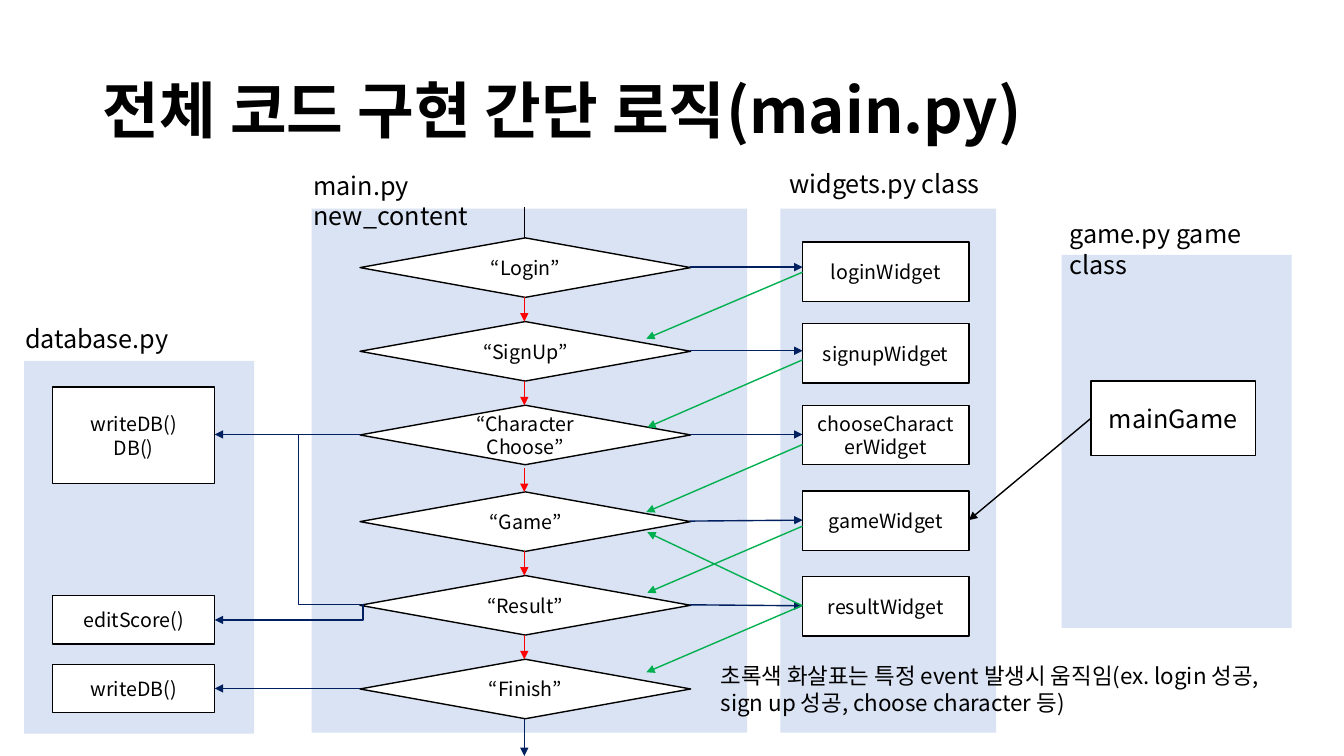
from lxml import etree
from pptx import Presentation
from pptx.dml.color import RGBColor
from pptx.enum import shapes, text
from pptx.oxml import ns
from pptx.util import Inches, Pt

FONT = "Noto Sans CJK KR"
BLACK, WHITE, PANEL = "000000", "FFFFFF", "DAE3F3"
NAVY, RED, GREEN = "002060", "FF0000", "00B050"

RECTANGLE = shapes.MSO_SHAPE.RECTANGLE
DIAMOND = shapes.MSO_SHAPE.DIAMOND
LEFT, CENTER = text.PP_ALIGN.LEFT, text.PP_ALIGN.CENTER

# Flow geometry in inches
STEP_LEFT, STEP_WIDTH, STEP_HEIGHT = 3.57, 3.28, 0.59
STEP_MIDDLE, STEP_RIGHT = 5.2, 6.84
WIDGET_LEFT, WIDGET_WIDTH = 7.96, 1.65
DATABASE_LEFT, DATABASE_WIDTH, DATABASE_RIGHT = 0.52, 1.61, 2.13

STEPS = [("“Login”", 2.36), ("“SignUp”", 3.19), ("“Character Choose”", 4.02),
         ("“Game”", 4.88), ("“Result”", 5.71), ("“Finish”", 6.54)]
WIDGETS = [("loginWidget", 2.4), ("signupWidget", 3.21),
           ("chooseCharacterWidget", 4.02), ("gameWidget", 4.87),
           ("resultWidget", 5.72)]
DATABASE_CALLS = [("writeDB()\nDB()", 3.84, 0.96), ("editScore()", 5.91, 0.48),
                  ("writeDB()", 6.59, 0.48)]
PANELS = [(7.74, 2.07, 2.14, 5.2), (3.09, 2.07, 4.32, 5.2),
          (0.24, 3.58, 2.28, 3.7), (10.53, 2.53, 2.28, 3.7)]
LABELS = [("widgets.py class", 7.73, 1.62, 2.95, 0.4, 18),
          ("main.py\vnew_content", 3.01, 1.64, 2.95, 0.4, 18),
          ("database.py", 0.15, 3.16, 2.37, 0.4, 18),
          ("game.py game class", 10.51, 2.12, 2.32, 0.4, 18),
          ("초록색 화살표는 특정 event 발생시 움직임(ex. login 성공, "
           "sign up 성공, choose character 등)", 7.05, 6.52, 5.8, 0.64, 16)]
EVENT_ARROWS = [((7.96, 2.7), (6.41, 3.36)), ((7.96, 3.57), (6.42, 4.24)),
                ((7.96, 4.41), (6.41, 5.08)), ((7.95, 6.01), (6.41, 6.67)),
                ((7.96, 6.01), (6.42, 5.28)), ((7.96, 5.22), (6.42, 5.88))]


def color(value):
    return RGBColor.from_string(value)


def apply_format(target, values):
    for name, value in values.items():
        setattr(target, name, value)


def write_text(shape, content, size, align=LEFT, bold=False,
               anchor=text.MSO_ANCHOR.TOP, line_spacing=None):
    frame = shape.text_frame
    frame.text = content
    apply_format(frame, {"word_wrap": True, "vertical_anchor": anchor})
    for paragraph in frame.paragraphs:
        apply_format(paragraph, {"alignment": align,
                                 "line_spacing": line_spacing})
        for run in paragraph.runs:
            apply_format(run.font, {"size": Pt(size), "bold": bold, "name": FONT})
            run.font.color.rgb = color(BLACK)
            properties = run.font._element
            latin = properties.find(ns.qn("a:latin"))
            east_asian = etree.Element(ns.qn("a:ea"), typeface=FONT)
            latin.addnext(east_asian)


def add_box(slide, kind, left, top, width, height, fill, content="", size=14):
    shape = slide.shapes.add_shape(kind, Inches(left), Inches(top),
                                   Inches(width), Inches(height))
    shape.shadow.inherit = False
    shape.fill.solid()
    shape.fill.fore_color.rgb = color(fill)
    if not content:
        shape.line.fill.background()
        return
    shape.line.color.rgb = color(BLACK)
    shape.line.width = Pt(1)
    write_text(shape, content, size, CENTER, anchor=text.MSO_ANCHOR.MIDDLE)


def add_label(slide, content, left, top, width, height, size):
    label = slide.shapes.add_textbox(Inches(left), Inches(top),
                                     Inches(width), Inches(height))
    write_text(label, content, size)


def add_line(slide, start, end, line_color, arrow=True, width=1, bend_x=None):
    """Draw a straight line, or an elbow that turns at bend_x."""
    kinds = shapes.MSO_CONNECTOR
    kind = kinds.STRAIGHT if bend_x is None else kinds.ELBOW
    points = [Inches(value) for value in (*start, *end)]
    connector = slide.shapes.add_connector(kind, *points)
    connector.line.color.rgb = color(line_color)
    connector.line.width = Pt(width)
    properties = connector.element.spPr
    if arrow:
        etree.SubElement(properties.find(ns.qn("a:ln")), ns.qn("a:tailEnd"),
                         type="triangle")
    etree.SubElement(properties, ns.qn("a:effectLst"))
    if bend_x is not None:
        share = (bend_x - start[0]) / (end[0] - start[0])
        geometry = properties.find(ns.qn("a:prstGeom"))
        guides = geometry.find(ns.qn("a:avLst"))
        if guides is None:
            guides = etree.SubElement(geometry, ns.qn("a:avLst"))
        etree.SubElement(guides, ns.qn("a:gd"), name="adj1",
                         fmla=f"val {round(share * 100000)}")


def add_title(slide, content):
    title = slide.shapes.title
    apply_format(title, {"left": Inches(0.92), "top": Inches(0.4),
                         "width": Inches(11.5), "height": Inches(1.45)})
    write_text(title, content, 44, bold=True,
               anchor=text.MSO_ANCHOR.MIDDLE, line_spacing=0.9)


def add_flow(slide):
    # Steps, joined downwards
    for name, top in STEPS:
        add_box(slide, DIAMOND, STEP_LEFT, top, STEP_WIDTH, STEP_HEIGHT, WHITE, name)
    for (_, top), (_, next_top) in zip(STEPS, STEPS[1:]):
        start_y = max(top + STEP_HEIGHT, next_top - 0.24)
        add_line(slide, (STEP_MIDDLE, start_y), (STEP_MIDDLE, next_top), RED)
    add_line(slide, (STEP_MIDDLE, 2.05), (STEP_MIDDLE, 2.36), BLACK, arrow=False)
    add_line(slide, (STEP_MIDDLE, 7.13), (STEP_MIDDLE, 7.5), NAVY, width=0.5)

    # Each step opens its widget
    for y, widget_y in [(2.65, 2.65), (3.48, 3.48), (4.31, 4.31),
                        (5.17, 5.16), (6, 6.01)]:
        add_line(slide, (STEP_RIGHT, y), (WIDGET_LEFT, widget_y), NAVY)
    for name, top in WIDGETS:
        add_box(slide, RECTANGLE, WIDGET_LEFT, top, WIDGET_WIDTH, STEP_HEIGHT,
                WHITE, name)
    for start, end in EVENT_ARROWS:
        add_line(slide, start, end, GREEN)


def add_database(slide):
    for name, top, height in DATABASE_CALLS:
        add_box(slide, RECTANGLE, DATABASE_LEFT, top, DATABASE_WIDTH, height,
                WHITE, name)
    add_line(slide, (3.58, 4.31), (STEP_LEFT, 6), NAVY, arrow=False, bend_x=2.95)
    add_line(slide, (STEP_LEFT, 6.83), (DATABASE_RIGHT, 6.83), NAVY)
    add_line(slide, (3.01, 4.31), (DATABASE_RIGHT, 4.31), NAVY)
    add_line(slide, (STEP_LEFT, 6), (DATABASE_RIGHT, 6.15), NAVY, bend_x=3.6)


def main():
    presentation = Presentation()
    apply_format(presentation, {"slide_width": Inches(13.33),
                                "slide_height": Inches(7.5)})
    slide = presentation.slides.add_slide(presentation.slide_layouts[5])

    # Title and module panels
    add_title(slide, "전체 코드 구현 간단 로직(main.py)")
    for panel in PANELS:
        add_box(slide, RECTANGLE, *panel, PANEL)

    # Diagram
    add_flow(slide)
    add_database(slide)
    add_box(slide, RECTANGLE, 10.82, 3.78, 1.63, 0.74, WHITE, "mainGame", 18)
    add_line(slide, (10.82, 4.15), (9.61, 5.16), BLACK)

    # Labels and legend
    for label in LABELS:
        add_label(slide, *label)

    presentation.save("out.pptx")


if __name__ == "__main__":
    main()
